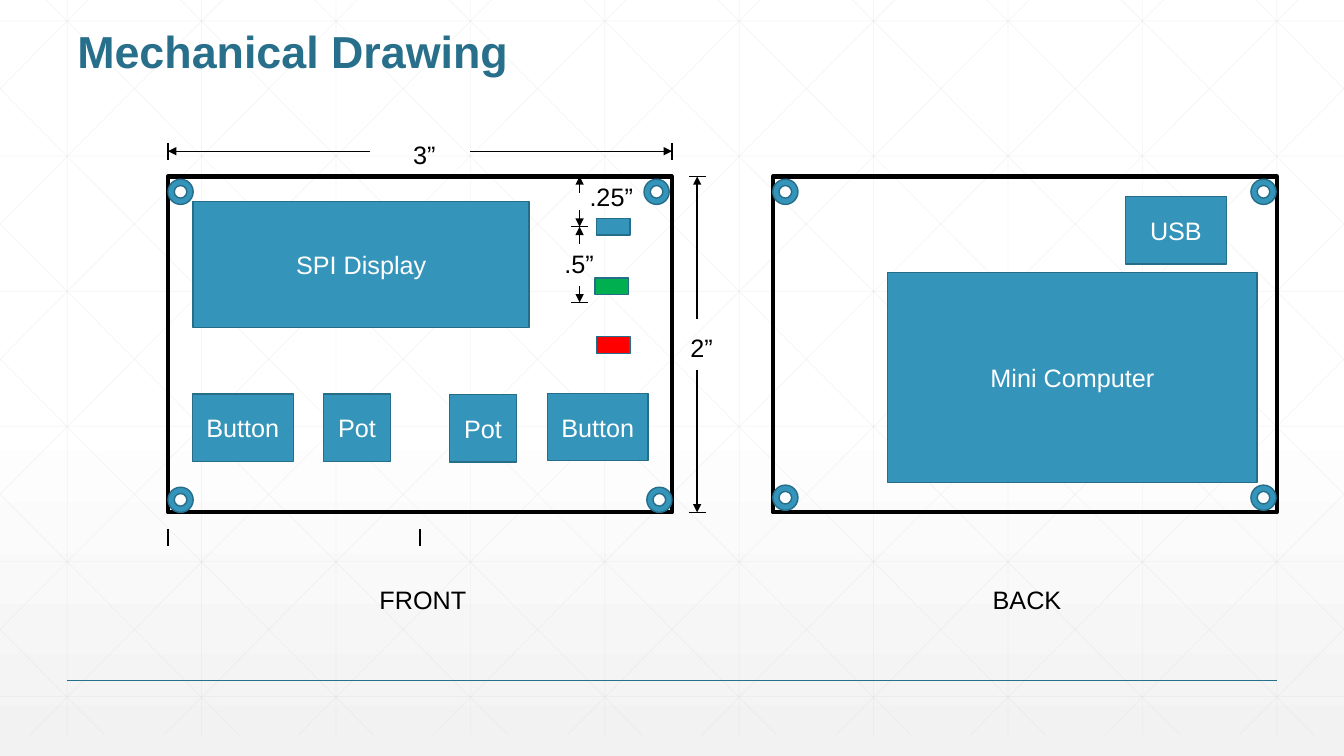
from lxml.etree import SubElement
from pptx import Presentation
from pptx.dml.color import RGBColor
from pptx.enum.shapes import MSO_CONNECTOR, MSO_SHAPE
from pptx.enum.text import MSO_ANCHOR, PP_ALIGN
from pptx.oxml.ns import qn
from pptx.util import Pt

WIDE, HIGH = 960, 540
BLUE, EDGE, DARK = "3494BA", "266D8A", "276F8B"
BLACK, WHITE, GRAY = "000000", "FFFFFF", "D9D9D9"


def tint(code):
    """Turn a hex string into a colour."""
    return RGBColor.from_string(code)


def put(item, vals):
    """Set each attribute in vals on item."""
    for name, val in vals.items():
        setattr(item, name, val)


def write(shape, text, color, size=18, bold=False, align=PP_ALIGN.LEFT, **frame):
    """Put one styled paragraph in a shape."""
    put(shape.text_frame, {"text": text, **frame})
    para = shape.text_frame.paragraphs[0]
    para.alignment = align
    font = para.runs[0].font
    put(font, {"name": "Arial", "size": Pt(size), "bold": bold})
    font.color.rgb = tint(color)
    return para


def rule(slide, ends, color=BLACK, width=1, arrow=False, alpha=None):
    """Draw a line, with an optional arrowhead at its start."""
    line = slide.shapes.add_connector(MSO_CONNECTOR.STRAIGHT, *map(Pt, ends))
    line.line.width = Pt(width)
    line.line.color.rgb = tint(color)
    props = line.element.spPr
    if alpha:
        shade = next(props.iter(qn("a:srgbClr")))
        SubElement(shade, qn("a:alpha"), val=str(alpha * 1000))
    if arrow:
        SubElement(props.find(qn("a:ln")), qn("a:headEnd"), type="triangle")
    SubElement(props, qn("a:effectLst"))


def block(slide, box, kind=MSO_SHAPE.RECTANGLE, fill=BLUE, edge=EDGE, width=1, text=""):
    """Draw a shape with an optional centred label."""
    shape = slide.shapes.add_shape(kind, *map(Pt, box))
    shape.shadow.inherit = False
    if fill:
        shape.fill.solid()
        shape.fill.fore_color.rgb = tint(fill)
    else:
        shape.fill.background()
    shape.line.color.rgb = tint(edge)
    shape.line.width = Pt(width)
    if text:
        write(shape, text, WHITE, align=PP_ALIGN.CENTER,
              vertical_anchor=MSO_ANCHOR.MIDDLE)


def label(slide, box, text):
    """Add a plain black label."""
    shape = slide.shapes.add_textbox(*map(Pt, box))
    write(shape, text, BLACK, word_wrap=False)


def grid(slide, box):
    """Draw the faint lattice and the foot line in the box."""
    left, top, wide, high = box
    slope, base = 1.006, high - 15
    lines = [(48 + 96 * i, 0, 48 + 96 * i, base) for i in range(10)]
    lines += [(0, 15 + 96.5 * j, wide, 15 + 96.5 * j) for j in range(6)]
    for i in range(-5, 10):
        start = 33 + 96 * i
        x1, x2 = max(0, start), min(wide, start + base / slope)
        y1, y2 = ((x - start) * slope for x in (x1, x2))
        lines += [(x1, y1, x2, y2), (wide - x1, y1, wide - x2, y2)]
    for x1, y1, x2, y2 in lines:
        ends = left + x1, top + y1, left + x2, top + y2
        rule(slide, ends, GRAY, 0.5, alpha=25)
    rule(slide, (left + 48, top + 486, left + wide - 48, top + 486), DARK)


def head(slide, box, text):
    """Place and format the title."""
    title = slide.shapes.title
    put(title, dict(zip(("left", "top", "width", "height"), map(Pt, box))))
    para = write(title, text, DARK, 32, True, vertical_anchor=MSO_ANCHOR.TOP)
    para.line_spacing = 0.9
    title.element.getparent().append(title.element)


def board(slide, box, parts, holes, name):
    """Draw a board with its parts, mounting holes and name."""
    left, top, wide, high = box
    block(slide, box, fill=None, edge=BLACK, width=3)
    for x, y, w, h, text, fill in parts:
        block(slide, (left + x, top + y, w, h), fill=fill, text=text)
    for x, y in holes:
        block(slide, (left + x, top + y, 18, 18), MSO_SHAPE.DONUT)
    text, x, w = name
    label(slide, (left + x, top + high + 48, w, 29), text)


def sizes(slide, box):
    """Draw the dimension lines around the front board."""
    left, top, wide, high = box
    side, mid = wide + 18, 294
    arrows = [(0, -18, 144, -18), (wide, -18, 216, -18),
              (side, 0, side, 102), (side, high, side, 138),
              (mid, 0, mid, 12), (mid, 36, mid, 24),
              (mid, 36, mid, 48), (mid, 90, mid, 78)]
    ticks = [(x, y - 6, x, y + 6) for x, y in
             ((0, -18), (wide, -18), (0, high + 18), (wide / 2, high + 18))]
    ticks += [(x - 6, y, x + 6, y) for x, y in
              ((side, 0), (side, high), (mid, 36), (mid, 90))]
    for group, arrow in ((arrows, True), (ticks, False)):
        for x1, y1, x2, y2 in group:
            ends = left + x1, top + y1, left + x2, top + y2
            rule(slide, ends, arrow=arrow)
    for x, y, w, text in ((168, -30, 31, "3”"), (366, 108, 31, "2”"),
                          (mid, 0, 46, ".25”"), (276, 48, 36, ".5”")):
        label(slide, (left + x, top + y, w, 29), text)


def main():
    """Build and save the slide."""
    deck = Presentation()
    put(deck, {"slide_width": Pt(WIDE), "slide_height": Pt(HIGH)})
    slide = deck.slides.add_slide(deck.slide_layouts[5])
    fill = slide.background.fill
    fill.gradient()
    fill.gradient_angle = 270
    for stop, spot, code in zip(fill.gradient_stops, (0.53, 1), (WHITE, "F2F2F2")):
        stop.position = spot
        stop.color.rgb = tint(code)
    grid(slide, (0, 0, WIDE, HIGH))
    head(slide, (48, 18, 864, 72), "Mechanical Drawing")
    front, back = (120, 126, 360, 240), (552, 126, 360, 240)
    board(slide, front, [
        (18, 18, 240, 90, "SPI Display", BLUE),
        (17.5, 155.5, 72, 48, "Button", BLUE),
        (111, 155.5, 48, 48, "Pot", BLUE),
        (201, 156, 48, 48, "Pot", BLUE),
        (271, 155, 72, 48, "Button", BLUE),
        (306, 30, 24, 12, "", BLUE),
        (305, 72.5, 24, 12, "", "00B050"),
        (306, 114.5, 24, 12, "", "FF0000"),
    ], [(0, 2), (340, 2), (0, 222), (342, 222)], ("FRONT", 144, 77))
    sizes(slide, front)
    board(slide, back, [
        (82, 68.5, 264, 150, "Mini Computer", BLUE),
        (252, 14.5, 72, 48, "USB", BLUE),
    ], [(x, y) for x in (0, 341.5) for y in (2, 220.5)], ("BACK", 150, 64))
    deck.save("out.pptx")


if __name__ == "__main__":
    main()
